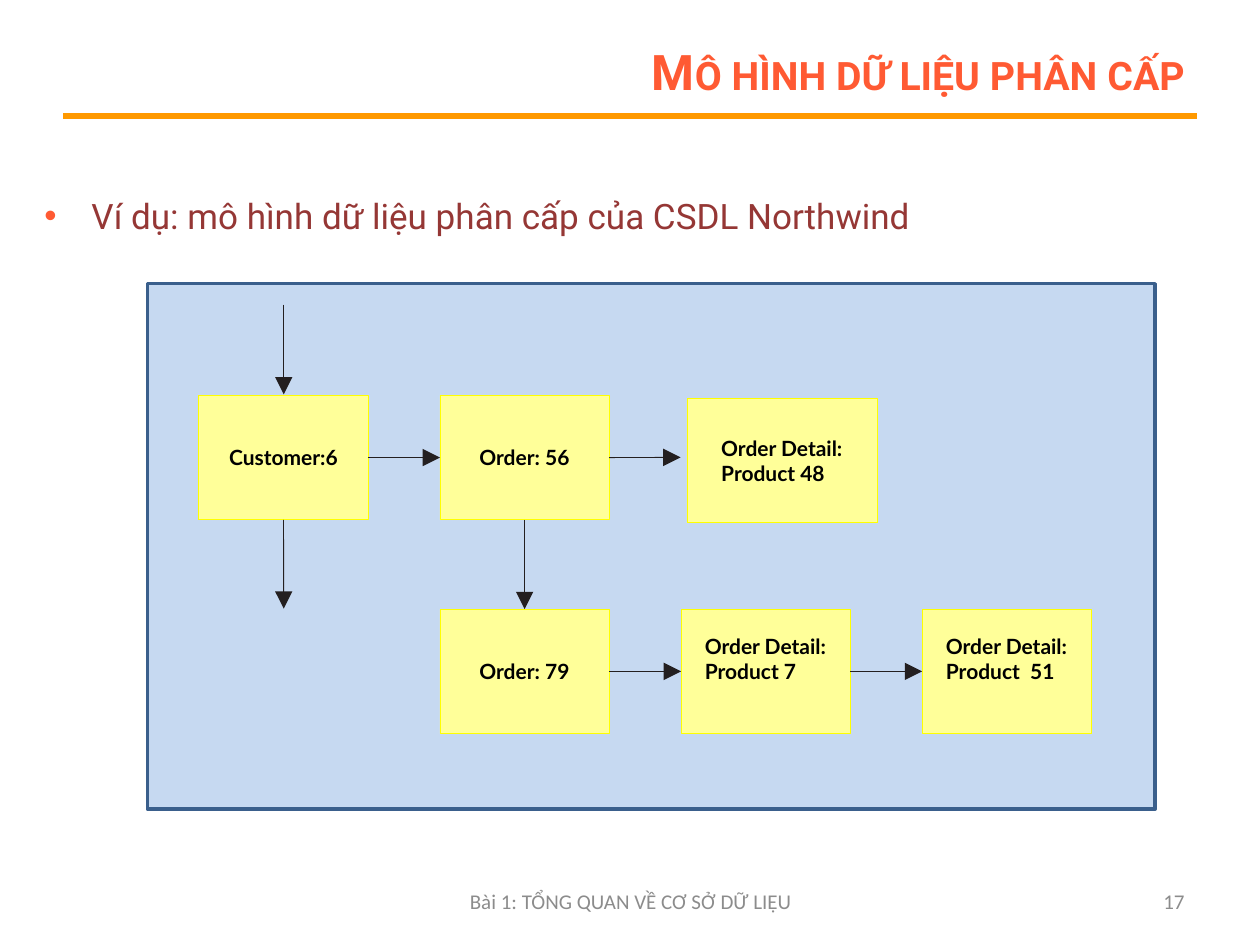
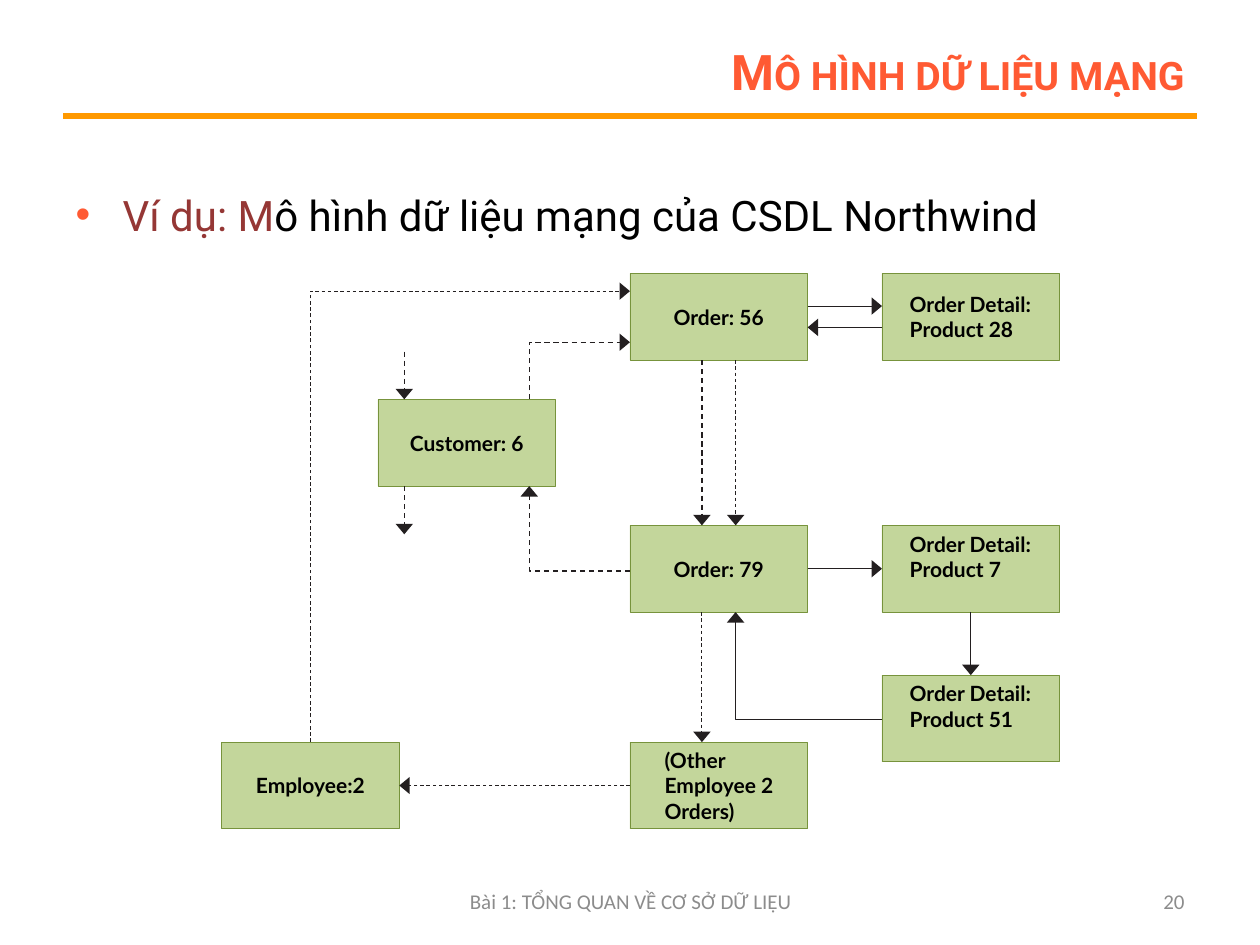
from lxml import etree
from pptx import Presentation
from pptx.dml.color import RGBColor
from pptx.enum.dml import MSO_LINE
from pptx.enum.shapes import MSO_CONNECTOR, MSO_SHAPE
from pptx.enum.text import MSO_ANCHOR, MSO_AUTO_SIZE, PP_ALIGN
from pptx.oxml.ns import qn
from pptx.util import Cm, Pt

STRAIGHT = MSO_CONNECTOR.STRAIGHT
RECTANGLE = MSO_SHAPE.RECTANGLE
DASH = MSO_LINE.DASH
LEFT, CENTER, RIGHT = PP_ALIGN.LEFT, PP_ALIGN.CENTER, PP_ALIGN.RIGHT
MIDDLE = MSO_ANCHOR.MIDDLE
NO_FIT = MSO_AUTO_SIZE.NONE
TOP_SIDE, LEFT_SIDE, BOTTOM_SIDE, RIGHT_SIDE = range(4)

ORANGE = RGBColor(0xFF, 0x5A, 0x33)
AMBER = RGBColor(0xFF, 0x99, 0x00)
MAROON = RGBColor(0x95, 0x37, 0x35)
BLACK = RGBColor(0x00, 0x00, 0x00)
INK = RGBColor(0x23, 0x1F, 0x20)
GREY = RGBColor(0x8C, 0x8C, 0x8C)
PANEL_BLUE = RGBColor(0xC6, 0xD9, 0xF1)
PANEL_EDGE = RGBColor(0x3A, 0x5F, 0x8C)
PALE_YELLOW = RGBColor(0xFF, 0xFF, 0x99)
YELLOW = RGBColor(0xFF, 0xFF, 0x00)
PALE_GREEN = RGBColor(0xC3, 0xD6, 0x9B)
GREEN = RGBColor(0x77, 0x93, 0x3C)

FOOTER = "Bài 1: TỔNG QUAN VỀ CƠ SỞ DỮ LIỆU"


class Lesson:
    """Shared style and the slide being drawn."""

    def __init__(self, deck):
        self.deck = deck
        self.page = None
        self.box_fill = self.box_edge = None
        self.head_length = "lg"

    def start_page(self, title, number, box_fill, box_edge, head_length):
        self.page = self.deck.slides.add_slide(self.deck.slide_layouts[1])
        self.box_fill, self.box_edge = box_fill, box_edge
        self.head_length = head_length
        # Title and the rule below it
        holder = self.page.shapes.title
        self.place(holder, 5.72, 0.76, 18.42, 1.35)
        holder.text_frame.vertical_anchor = MIDDLE
        para = holder.text_frame.paragraphs[0]
        para.alignment = RIGHT
        span = self.span(para, title, "Roboto", 28, ORANGE, bold=True)
        span.font._element.set("cap", "small")
        self.line((1.27, 2.34), (24.13, 2.34), AMBER, 3)
        # Footer
        self.label(FOOTER, 8.69, 8.05, CENTER)
        self.label(str(number), 18.21, 5.92, RIGHT)

    def place(self, shape, left, top, width, height):
        shape.left, shape.top = Cm(left), Cm(top)
        shape.width, shape.height = Cm(width), Cm(height)

    def span(self, para, text, font, size, color, bold=False):
        span = para.add_run()
        span.text = text
        span.font.name, span.font.size = font, Pt(size)
        span.font.bold = bold
        span.font.color.rgb = color
        return span

    def label(self, text, left, width, alignment):
        box = self.page.shapes.add_textbox(Cm(left), Cm(17.65), Cm(width), Cm(1.02))
        box.text_frame.word_wrap = True
        box.text_frame.vertical_anchor = MIDDLE
        para = box.text_frame.paragraphs[0]
        para.alignment = alignment
        self.span(para, text, "Calibri", 12, GREY)

    def bullet(self, area, size, *pieces):
        body = self.page.placeholders[1]
        self.place(body, *area)
        body.text_frame.auto_size = NO_FIT
        para = body.text_frame.paragraphs[0]
        para.line_spacing = 1.5
        para.space_before = Pt(size * 0.2)
        for text, color in pieces:
            self.span(para, text, "Roboto", size, color)
        properties = para._p.get_or_add_pPr()
        properties.set("marL", str(Cm(0.95)))
        properties.set("indent", str(-Cm(0.95)))
        bullet_color = etree.SubElement(properties, qn("a:buClr"))
        etree.SubElement(bullet_color, qn("a:srgbClr"), val=str(ORANGE))
        etree.SubElement(properties, qn("a:buFont"), typeface="Arial")
        etree.SubElement(properties, qn("a:buChar"), char="•")

    def rectangle(self, area, fill, edge, weight):
        shape = self.page.shapes.add_shape(RECTANGLE, *map(Cm, area))
        shape.shadow.inherit = False
        shape.fill.solid()
        shape.fill.fore_color.rgb = fill
        shape.line.color.rgb = edge
        shape.line.width = Pt(weight)
        return shape

    def box(self, text, area, indent=None, raised=False):
        """Centre the text, or start its wrapped lines at an indent."""
        shape = self.rectangle(area, self.box_fill, self.box_edge, 0.5)
        frame = shape.text_frame
        frame.word_wrap = True
        frame.vertical_anchor = MIDDLE
        frame.margin_left = Cm(indent or 0)
        frame.margin_right = Cm(0.3 if indent else 0)
        frame.margin_top = 0
        frame.margin_bottom = Cm(0.5 if raised else 0)
        para = frame.paragraphs[0]
        para.alignment = LEFT if indent else CENTER
        self.span(para, text, "Lato", 12, BLACK, bold=True)
        return shape

    def line(self, start, end, color, weight):
        line = self.page.shapes.add_connector(STRAIGHT, *map(Cm, start + end))
        line.line.color.rgb = color
        line.line.width = Pt(weight)
        etree.SubElement(line.element.spPr, qn("a:effectLst"))
        return line

    def add_head(self, shape, dashed):
        if dashed:
            shape.line.dash_style = DASH
        outline = shape.element.spPr.find(qn("a:ln"))
        etree.SubElement(outline, qn("a:tailEnd"), type="triangle",
                         w="lg", len=self.head_length)

    def arrow(self, start, end, dashed=False, weight=0.5):
        """Each end is a point, or a box with the side to join."""
        points = [(0, 0) if hasattr(place[0], "text_frame") else place
                  for place in (start, end)]
        line = self.line(*points, INK, weight)
        if start is not points[0]:
            line.begin_connect(*start)
        if end is not points[1]:
            line.end_connect(*end)
        self.add_head(line, dashed)

    def bent_arrow(self, *points, dashed=False, weight=0.5):
        corners = [(Cm(x), Cm(y)) for x, y in points]
        builder = self.page.shapes.build_freeform(*corners[0])
        builder.add_line_segments(corners[1:], close=False)
        shape = builder.convert_to_shape()
        shape.shadow.inherit = False
        shape.fill.background()
        shape.line.color.rgb = INK
        shape.line.width = Pt(weight)
        self.add_head(shape, dashed)


def draw_hierarchy(lesson):
    lesson.start_page("Mô hình dữ liệu phân cấp", 17, PALE_YELLOW, YELLOW, "lg")
    lesson.bullet((0.64, 3.38, 24.13, 5.51), 20,
                  ("Ví dụ: mô hình dữ liệu phân cấp của CSDL Northwind", MAROON))
    lesson.rectangle((2.97, 5.72, 20.32, 10.59), PANEL_BLUE, PANEL_EDGE, 2)

    def cell(column, row):
        return 4.01 + 4.86 * column, 7.97 + 4.31 * row, 3.41, 2.51

    # Records
    customer = lesson.box("Customer:6", cell(0, 0))
    order_56 = lesson.box("Order: 56", cell(1, 0))
    order_79 = lesson.box("Order: 79", cell(1, 1))
    lesson.box("Order Detail: Product 48", (13.85, 8.03, 3.84, 2.51), 0.69)
    product_7 = lesson.box("Order Detail: Product 7", cell(2, 1), 0.48, True)
    product_51 = lesson.box("Order Detail: Product  51", cell(3, 1), 0.48, True)

    # Links
    lesson.arrow((5.72, 6.14), (5.72, 7.95))
    lesson.arrow((customer, BOTTOM_SIDE), (5.72, 12.27))
    lesson.arrow((customer, RIGHT_SIDE), (order_56, LEFT_SIDE))
    lesson.arrow((order_56, RIGHT_SIDE), (13.72, 9.22))
    lesson.arrow((order_56, BOTTOM_SIDE), (order_79, TOP_SIDE))
    lesson.arrow((order_79, RIGHT_SIDE), (product_7, LEFT_SIDE))
    lesson.arrow((product_7, RIGHT_SIDE), (product_51, LEFT_SIDE))


def draw_network(lesson):
    lesson.start_page("Mô hình dữ liệu mạng", 20, PALE_GREEN, GREEN, "med")
    lesson.bullet((1.27, 3.18, 22.86, 1.91), 24, ("Ví dụ: M", MAROON),
                  ("ô hình dữ liệu mạng của CSDL Northwind", BLACK))

    def at(left, top):
        return left, top, 3.58, 1.75

    # Records
    customer_left, order_left, detail_left = (7.62 + 5.08 * i for i in range(3))
    first, second, third = (5.51 + 2.54 * i for i in range(3))
    last = 14.96
    lesson.box("Customer: 6", at(customer_left, second))
    lesson.box("Order: 56", at(order_left, first))
    order_79 = lesson.box("Order: 79", at(order_left, third))
    lesson.box("Order Detail: Product 28", at(detail_left, first), 0.56)
    product_7 = lesson.box("Order Detail: Product 7", at(detail_left, third), 0.56, True)
    product_51 = lesson.box("Order Detail: Product 51", at(detail_left, 13.61), 0.56, True)
    others = lesson.box("(Other Employee 2 Orders)", at(order_left, last), 0.7)
    employee = lesson.box("Employee:2", at(4.47, last))

    # Order and detail links
    lesson.arrow((16.28, 6.17), (detail_left, 6.17))
    lesson.arrow((detail_left, 6.6), (16.28, 6.6))
    lesson.arrow((order_79, RIGHT_SIDE), (product_7, LEFT_SIDE))
    lesson.arrow((product_7, BOTTOM_SIDE), (product_51, TOP_SIDE))
    lesson.bent_arrow((detail_left, 14.5), (14.83, 14.5), (14.83, 12.34))

    # Customer links
    for x, top, bottom in ((14.15, 7.26, third), (8.15, 7.09, second), (8.15, 9.8, 10.77)):
        lesson.arrow((x, top), (x, bottom), dashed=True, weight=0.75)
    lesson.bent_arrow((order_left, 11.51), (10.67, 11.51), (10.67, 9.8),
                      dashed=True, weight=0.75)
    lesson.bent_arrow((10.67, second), (10.67, 6.9), (order_left, 6.9),
                      dashed=True, weight=0.75)

    # Employee links
    lesson.arrow((14.83, 7.26), (14.83, third), dashed=True)
    lesson.arrow((14.15, 12.34), (14.15, last), dashed=True)
    lesson.arrow((others, LEFT_SIDE), (employee, RIGHT_SIDE), dashed=True)
    lesson.bent_arrow((6.25, last), (6.25, 5.87), (order_left, 5.87), dashed=True)


def main():
    deck = Presentation()
    deck.slide_width, deck.slide_height = Cm(25.4), Cm(19.05)
    lesson = Lesson(deck)
    draw_hierarchy(lesson)
    draw_network(lesson)
    deck.save("out.pptx")


if __name__ == "__main__":
    main()
